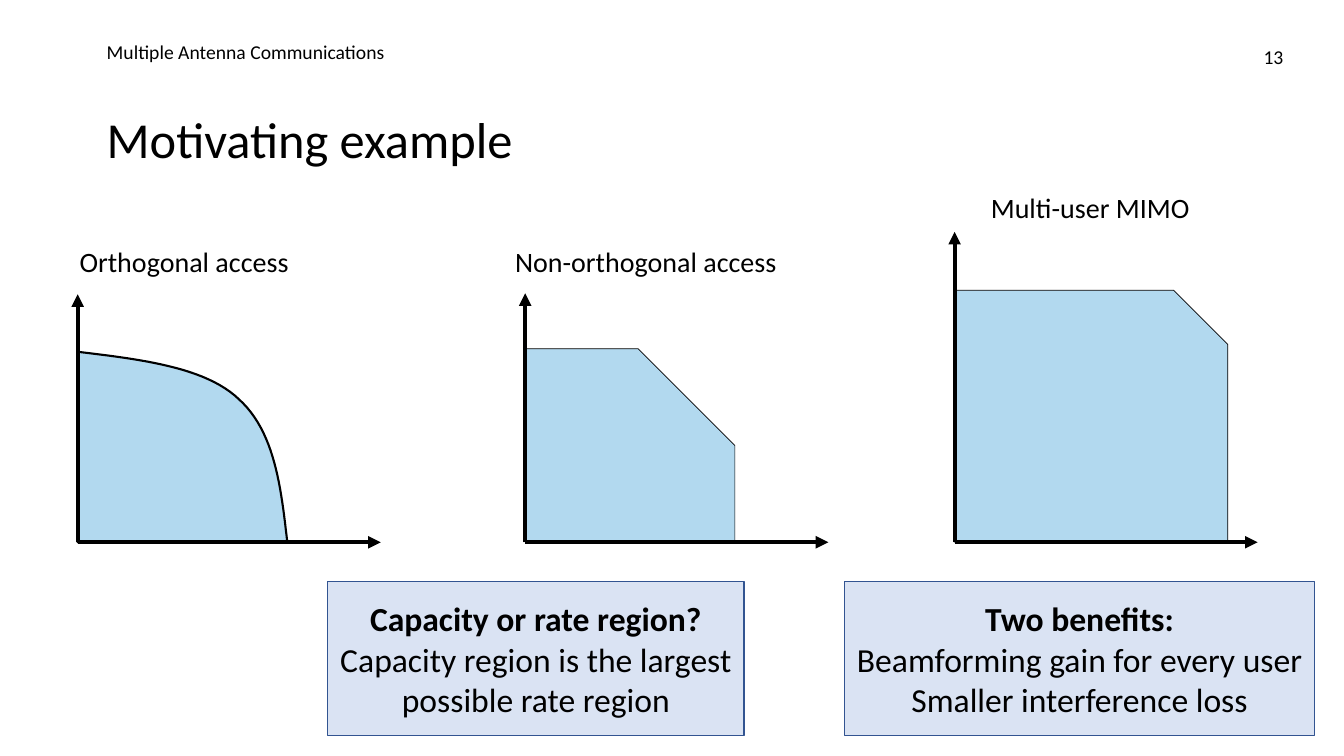
from pptx import Presentation
from pptx.dml.color import RGBColor
from pptx.enum.shapes import MSO_CONNECTOR as Link, MSO_SHAPE as Kind
from pptx.enum.text import MSO_ANCHOR as Anchor, PP_ALIGN as Align
from pptx.oxml.ns import qn
from pptx.util import Inches, Pt
from lxml.etree import SubElement

INK, SKY, PALE, EDGE = "000000", "B2D9EF", "DAE3F3", "325491"
FONT = "Calibri"

# Lengths are percentages of the slide's width and height.
TITLE = ("Motivating example", (7.2, 14.53, 89.03, 12.13))
HEAD = ("Multiple Antenna Communications", (7.2, 5.2, 67, 3.87))
PAGE = ("13", (90.15, 5.33, 6.08, 3.87))
BASE, REACH = 71.73, 22.55
# label, label box, axis left, axis top, region width, region height, snip
PLOTS = [
    ("Orthogonal access", (5.18, 31.73, 17.25, 5.87), 5.78, 38.93, 15.6, 25.2, None),
    ("Non-orthogonal access", (37.58, 31.73, 21.15, 5.87), 39.08, 38.8, 15.6, 25.6, 0.5),
    ("Multi-user MIMO", (72.98, 24.53, 16.5, 5.87), 71.03, 30.67, 20.33, 33.33, 0.215),
]
# Bezier points of the curve, as shares of its region
BENDS = [
    [(0, 0), (0.3, 0.04), (0.61, 0.08), (0.77, 0.25)],
    [(0.77, 0.25), (0.94, 0.42), (0.97, 0.71), (1, 1)],
]
NOTES = [
    (24.38, 30.98, ["Capacity or rate region?",
                    "Capacity region is the largest possible rate region"]),
    (62.85, 34.95, ["Two benefits:", "Beamforming gain for every user",
                    "Smaller interference loss"]),
]
NOTE_TOP, NOTE_TALL = 76.93, 20.4
STEPS = 24

deck = Presentation()
deck.slide_width, deck.slide_height = Inches(13.33), Inches(7.5)
slide = deck.slides.add_slide(deck.slide_layouts[6])
shapes = slide.shapes


def color(text):
    """Turn a hex string into a colour."""
    return RGBColor.from_string(text)


def across(share):
    """Give a share of the slide's width."""
    return round(deck.slide_width * share / 100)


def down(share):
    """Give a share of the slide's height."""
    return round(deck.slide_height * share / 100)


def place(left, top, wide, tall):
    """Turn shares into a position and size."""
    return across(left), down(top), across(wide), down(tall)


def paint(shape, fill, line, width):
    """Set fill and outline, without shadow."""
    shape.shadow.inherit = False
    shape.fill.solid()
    shape.fill.fore_color.rgb = color(fill)
    shape.line.color.rgb = color(line)
    shape.line.width = Pt(width)


def style(para, size, bold=False, align=Align.LEFT):
    """Format a paragraph and its runs."""
    para.alignment = align
    for run in para.runs:
        run.font.name, run.font.size, run.font.bold = FONT, Pt(size), bold
        run.font.color.rgb = color(INK)


def write(text, box, size, wrap=True, anchor=Anchor.TOP, align=Align.LEFT):
    """Add a one-line text box."""
    frame = shapes.add_textbox(*place(*box)).text_frame
    frame.text = text
    frame.word_wrap, frame.vertical_anchor = wrap, anchor
    style(frame.paragraphs[0], size, align=align)
    return frame.paragraphs[0]


def axis(left, end, top):
    """Draw an arrow from a plot's corner."""
    line = shapes.add_connector(
        Link.STRAIGHT, across(left), down(BASE), across(end), down(top))
    line.line.color.rgb = color(INK)
    line.line.width = Pt(3)
    SubElement(line.line._get_or_add_ln(), qn("a:tailEnd"), type="triangle")
    SubElement(line._element.spPr, qn("a:effectLst"))


def bend(points, t):
    """Find a point on a cubic Bezier curve."""
    parts = ((1 - t) ** 3, 3 * t * (1 - t) ** 2, 3 * t * t * (1 - t), t ** 3)
    return tuple(sum(k * p[i] for k, p in zip(parts, points)) for i in (0, 1))


def curve(left, top, wide, tall):
    """Draw the region under the curve."""
    spots = [bend(b, n / STEPS) for b in BENDS for n in range(STEPS + 1)]
    dots = [(across(left + x * wide), down(top + y * tall)) for x, y in spots]
    pen = shapes.build_freeform(across(left), down(top + tall))
    pen.add_line_segments(dots, close=True)
    paint(pen.convert_to_shape(), SKY, INK, 1.5)


def plot(label, box, left, tip, wide, tall, snip):
    """Draw a rate region with its axes and label."""
    area = (left, BASE - tall, wide, tall)
    if snip is None:
        curve(*area)
    else:
        shape = shapes.add_shape(Kind.SNIP_1_RECTANGLE, *place(*area))
        shape.adjustments[0] = snip
        paint(shape, SKY, INK, 0.5)
    axis(left, left, tip)
    axis(left, left + REACH, BASE)
    write(label, box, 20, wrap=False)


def note(left, wide, lines):
    """Draw a box with a bold first line."""
    shape = shapes.add_shape(
        Kind.RECTANGLE, *place(left, NOTE_TOP, wide, NOTE_TALL))
    paint(shape, PALE, EDGE, 1)
    frame = shape.text_frame
    frame.text = "\n".join(lines)
    frame.word_wrap, frame.vertical_anchor = True, Anchor.MIDDLE
    for n, para in enumerate(frame.paragraphs):
        style(para, 24, bold=n == 0, align=Align.CENTER)


def main():
    """Build and save the slide."""
    write(*TITLE, 36).line_spacing = 0.9
    write(*HEAD, 14, anchor=Anchor.BOTTOM)
    write(*PAGE, 14, align=Align.RIGHT)
    for item in PLOTS:
        plot(*item)
    for item in NOTES:
        note(*item)
    deck.save("out.pptx")


if __name__ == "__main__":
    main()
